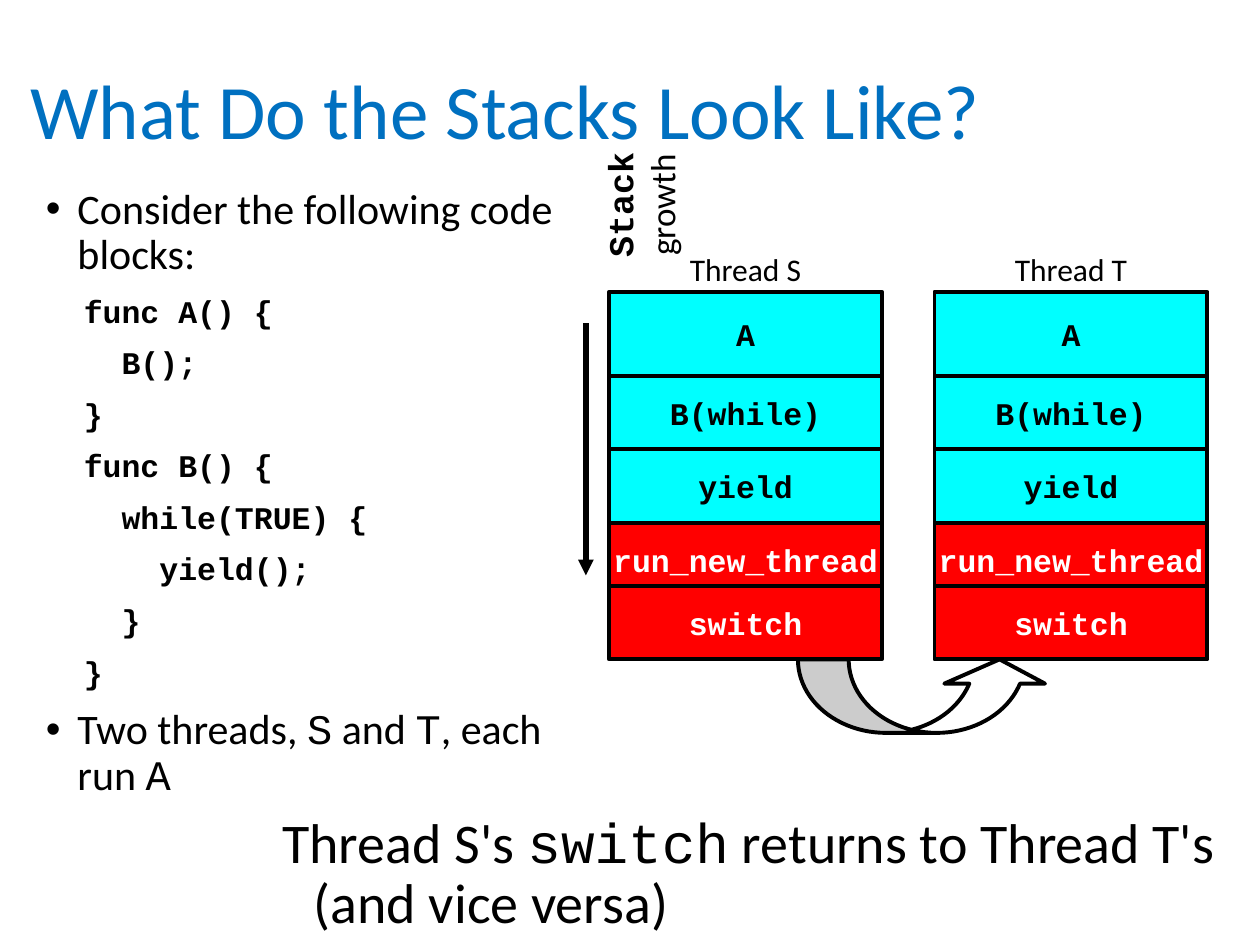
from lxml import etree
from pptx import Presentation, util as u
from pptx.dml.color import RGBColor
from pptx.enum import shapes, text
from pptx.oxml.ns import qn

BLUE = RGBColor(0x00, 0x70, 0xC0)
CYAN = RGBColor(0x00, 0xFF, 0xFF)
RED = RGBColor(0xFF, 0x00, 0x00)
BLACK = RGBColor(0x00, 0x00, 0x00)
WHITE = RGBColor(0xFF, 0xFF, 0xFF)
SANS, MONO = "Calibri", "Courier New"

# The slide is a grid of 120 columns by 90 rows of square cells
WIDTH, HEIGHT = u.Inches(10), u.Inches(7.5)
CELL = WIDTH / 120

# Stack frames: label, first row, height in rows, fill, text colour
FRAMES = [
    ("A", 0, 8, CYAN, BLACK),
    ("B(while)", 8, 7, CYAN, BLACK),
    ("yield", 15, 7, CYAN, BLACK),
    ("run_new_thread", 22, 7, RED, WHITE),
    ("switch", 28, 7, RED, WHITE),
]
CODE = """  func A() {
    B();
  }
  func B() {
    while(TRUE) {
      yield();
    }
  }"""


def cells(*counts):
    return [u.Emu(round(count * CELL)) for count in counts]


def add_run(paragraph, words, size, font=SANS, color=BLACK, bold=False):
    run = paragraph.add_run()
    run.text = words
    run.font.name, run.font.size, run.font.bold = font, u.Pt(size), bold
    run.font.color.rgb = color


def add_hanging(frame, runs, size, bullet=False, bold=False):
    """Add a paragraph with a hanging indent; the first one has no space before."""
    first = not frame.paragraphs[0].runs
    paragraph = frame.paragraphs[0] if first else frame.add_paragraph()
    props = paragraph._p.get_or_add_pPr()
    props.set("marL", str(u.Inches(0.25)))
    props.set("indent", str(-u.Inches(0.25)))
    if bullet:
        etree.SubElement(props, qn("a:buFont"), typeface="Arial")
        etree.SubElement(props, qn("a:buChar"), char="•")
    else:
        etree.SubElement(props, qn("a:buNone"))
    paragraph.line_spacing = 0.9
    paragraph.space_before = u.Pt(0 if first else 10)
    for words, font in runs:
        add_run(paragraph, words, size, font, bold=bold)


def add_frame(slide, box, wrap=True):
    area = slide.shapes.add_textbox(*cells(*box))
    area.text_frame.word_wrap = wrap
    return area


def add_label(slide, box, runs, size, wrap=False):
    """Add a centred label; each run is words, font, bold."""
    label = add_frame(slide, box, wrap)
    paragraph = label.text_frame.paragraphs[0]
    paragraph.alignment = text.PP_ALIGN.CENTER
    for words, font, bold in runs:
        add_run(paragraph, words, size, font, bold=bold)
    return label


def outline(shape, fill):
    shape.shadow.inherit = False
    shape.fill.solid()
    shape.fill.fore_color.rgb = fill
    shape.line.color.rgb = BLACK
    shape.line.width = u.Pt(2.25)


def place_title(slide, box):
    title = slide.shapes.title
    title.left, title.top, title.width, title.height = cells(*box)
    title.text_frame.vertical_anchor = text.MSO_ANCHOR.MIDDLE
    paragraph = title.text_frame.paragraphs[0]
    paragraph.alignment = text.PP_ALIGN.LEFT
    paragraph.line_spacing = 0.9
    add_run(paragraph, "What Do the Stacks Look Like?", 44, color=BLUE)


def place_code_notes(slide, box):
    notes = add_frame(slide, box).text_frame
    add_hanging(notes, [("Consider the following code blocks:", SANS)], 24, bullet=True)
    for line in CODE.splitlines():
        add_hanging(notes, [(line, MONO)], 18, bold=True)
    add_hanging(notes, [("Two threads, ", SANS), ("S", MONO), (" and ", SANS),
                        ("T", MONO), (", each run ", SANS), ("A", MONO)],
                24, bullet=True)


def place_stack(slide, name, box):
    left, top, width, _ = box
    add_label(slide, (left + (width - 13.4) / 2, top - 4.6, 13.4, 4.8),
              [(name, SANS, False)], 18)
    for words, row, rows, fill, color in FRAMES:
        call = slide.shapes.add_shape(shapes.MSO_SHAPE.RECTANGLE,
                                      *cells(left, top + row, width, rows))
        outline(call, fill)
        call.text_frame.word_wrap = False
        call.text_frame.vertical_anchor = text.MSO_ANCHOR.MIDDLE
        paragraph = call.text_frame.paragraphs[0]
        paragraph.alignment = text.PP_ALIGN.CENTER
        add_run(paragraph, words, 18, MONO, color, bold=True)


def place_growth_label(slide, box):
    """Fill an upright box with a label that reads upwards in two lines."""
    left, top, width, height = box
    turned = (left + (width - height) / 2, top + (height - width) / 2, height, width)
    label = add_label(slide, turned,
                      [("Stack ", MONO, True), ("growth", SANS, False)], 20, wrap=True)
    label.text_frame.vertical_anchor = text.MSO_ANCHOR.MIDDLE
    label.rotation = 270


def place_growth_arrow(slide, box):
    left, top, _, height = box
    arrow = slide.shapes.add_connector(
        shapes.MSO_CONNECTOR.STRAIGHT, *cells(left, top, left, top + height))
    arrow.line.color.rgb = BLACK
    arrow.line.width = u.Pt(3)
    etree.SubElement(arrow.line._get_or_add_ln(), qn("a:tailEnd"), type="triangle")
    etree.SubElement(arrow._element.spPr, qn("a:effectLst"))


def place_switch_arrow(slide, box):
    arrow = slide.shapes.add_shape(shapes.MSO_SHAPE.CURVED_UP_ARROW, *cells(*box))
    outline(arrow, WHITE)
    for index, share in enumerate((0.69, 1.37, 0.33)):
        arrow.adjustments[index] = share


def place_conclusion(slide, box):
    conclusion = add_frame(slide, box).text_frame
    add_hanging(conclusion, [("Thread S's ", SANS), ("switch", MONO),
                             (" returns to Thread T's (and vice versa)", SANS)], 32)


def main():
    deck = Presentation()
    deck.slide_width, deck.slide_height = WIDTH, HEIGHT
    slide = deck.slides.add_slide(deck.slide_layouts[5])
    place_title(slide, (1.7, 2.2, 103.4, 17.4))
    place_code_notes(slide, (3.2, 17.3, 52.7, 61.8))
    place_switch_arrow(slide, (76, 62.8, 24, 7))
    place_growth_label(slide, (56.3, 13, 9.4, 13))
    place_growth_arrow(slide, (55.8, 30.8, 0, 24))
    for name, left in (("Thread S", 58), ("Thread T", 89)):
        place_stack(slide, name, (left, 27.8, 26, 35))
    place_conclusion(slide, (25.7, 77, 99.8, 13.9))
    deck.save("out.pptx")


if __name__ == "__main__":
    main()
